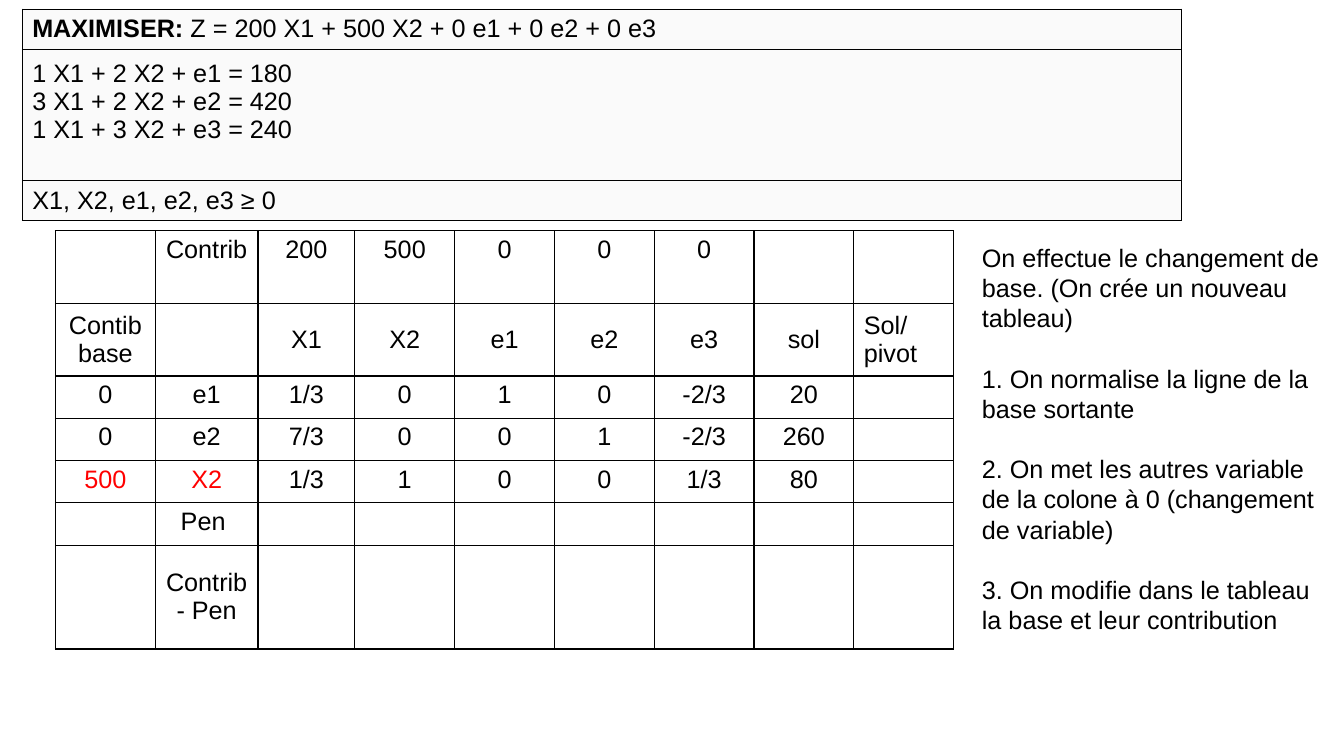
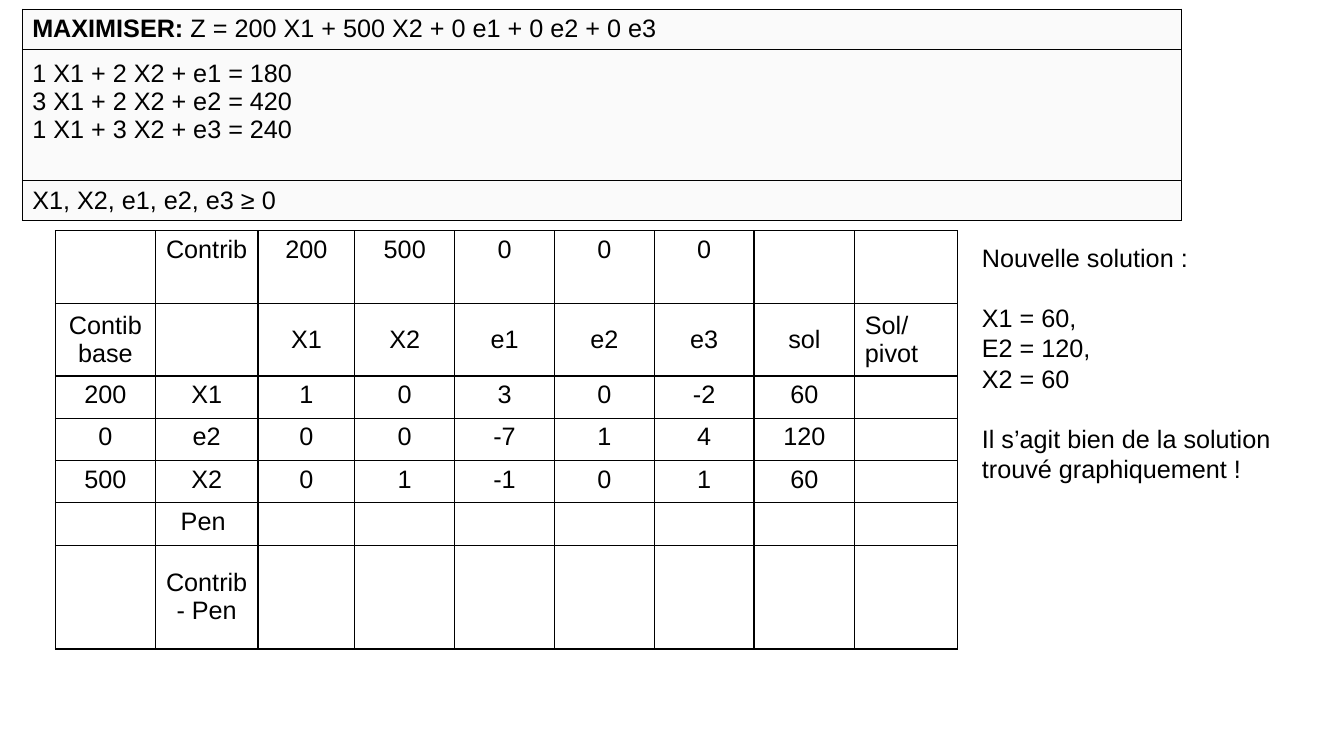
from dataclasses import dataclass
from typing import Optional

from lxml.etree import SubElement
from pptx import Presentation
from pptx.dml.color import RGBColor as RGB
from pptx.enum.text import MSO_ANCHOR as ANCHOR, PP_ALIGN as ALIGN
from pptx.oxml.ns import qn
from pptx.util import Inches, Pt


@dataclass(frozen=True)
class Theme:
    font: str = "Arial"
    size: float = 18
    table_leading: float = 20
    note_leading: float = 21.6
    text: str = "000000"
    accent: str = "FF0000"
    panel: str = "FAFAFA"
    panel_line: float = 0.75
    grid_line: float = 0.96


@dataclass(frozen=True)
class Step:
    """One simplex iteration: basis rows, commentary and layout details."""
    rows: tuple[str, ...]
    notes: tuple[tuple[str, ...], ...]
    note_height: float
    last_widths: tuple[float, float]
    entering: Optional[int] = None  # index of the basis row in the accent colour


THEME = Theme()

# Content shared by both slides
OBJECTIVE = (("MAXIMISER: ", True), ("Z = 200 X1 + 500 X2 + 0 e1 + 0 e2 + 0 e3", False))
CONSTRAINTS = ("1 X1 + 2 X2 + e1 = 180", "3 X1 + 2 X2 + e2 = 420", "1 X1 + 3 X2 + e3 = 240")
SIGNS = "X1, X2, e1, e2, e3 ≥ 0"
HEAD_ROWS = ("|Contrib|200|500|0|0|0||", "Contib base||X1|X2|e1|e2|e3|sol|Sol/pivot")
FOOT_ROWS = ("|Pen |||||||", "|Contrib - Pen|||||||")
ROW_HEIGHTS = (0.72, 0.72, 0.42, 0.42, 0.42, 0.42, 1.03)
FIRST_WIDTHS = (0.99, 1.02, 0.96, 0.99, 0.99, 0.99, 0.99)
MIDDLE_ROWS = (1, 6)

STEPS = (
    Step(
        rows=("0|e1|1/3|0|1|0|-2/3|20|", "0|e2|7/3|0|0|1|-2/3|260|", "500|X2|1/3|1|0|0|1/3|80|"),
        notes=(
            ("On effectue le changement de base. (On crée un nouveau tableau)",),
            ("1. On normalise la ligne de la base sortante",),
            ("2. On met les autres variable de la colone à 0 (changement de variable)",),
            ("3. On modifie dans le tableau la base et leur contribution",),
        ),
        note_height=4.02, last_widths=(0.99, 0.99), entering=2,
    ),
    Step(
        rows=("200|X1|1|0|3|0|-2|60|", "0|e2|0|0|-7|1|4|120|", "500|X2|0|1|-1|0|1|60|"),
        notes=(
            ("Nouvelle solution :",),
            ("X1 = 60,", "E2 = 120,", "X2 = 60"),
            ("Il s’agit bien de la solution trouvé graphiquement !",),
        ),
        note_height=3.65, last_widths=(1.0, 1.02),
    ),
)


# Text and cell helpers
def add_run(p, text: str, bold: bool = False, color: str = THEME.text) -> None:
    r = p.add_run()
    r.text = text
    formats = {"name": THEME.font, "size": Pt(THEME.size), "bold": bold}
    for name, value in formats.items():
        setattr(r.font, name, value)
    r.font.color.rgb = RGB.from_string(color)


def next_paragraph(tf, first: bool, leading: float):
    p = tf.paragraphs[0] if first else tf.add_paragraph()
    p.line_spacing = Pt(leading)
    return p


def set_borders(cell, width: float) -> None:
    """Add the four border lines; they must come before the cell fill."""
    tc_pr = cell._tc.get_or_add_tcPr()
    for side in ("lnL", "lnR", "lnT", "lnB"):
        ln = SubElement(tc_pr, qn(f"a:{side}"), w=str(Pt(width)))
        fill = SubElement(ln, qn("a:solidFill"))
        SubElement(fill, qn("a:srgbClr"), val=THEME.text)


def add_grid(s, left: float, top: float, widths: tuple[float, ...],
             heights: tuple[float, ...], line: float, fill: Optional[str] = None):
    table = s.shapes.add_table(len(heights), len(widths), Inches(left), Inches(top),
                               Inches(sum(widths)), Inches(sum(heights))).table
    table.first_row = table.horz_banding = False
    for column, width in zip(table.columns, widths):
        column.width = Inches(width)
    for row, height in zip(table.rows, heights):
        row.height = Inches(height)
    for cell in table.iter_cells():
        set_borders(cell, line)
        if fill:
            cell.fill.solid()
            cell.fill.fore_color.rgb = RGB.from_string(fill)
        else:
            cell.fill.background()
    return table


# Slide parts
def add_problem(s) -> None:
    table = add_grid(s, 0.22, 0.09, (11.5,), (0.4, 1.3, 0.4), THEME.panel_line, THEME.panel)
    contents = ((OBJECTIVE,), tuple(((line, False),) for line in CONSTRAINTS), (((SIGNS, False),),))
    for i, lines in enumerate(contents):
        cell = table.cell(i, 0)
        cell.vertical_anchor = ANCHOR.MIDDLE
        for j, runs in enumerate(lines):
            p = next_paragraph(cell.text_frame, j == 0, THEME.table_leading)
            for text, bold in runs:
                add_run(p, text, bold)
    constraints = table.cell(1, 0)
    constraints.vertical_anchor = ANCHOR.TOP
    constraints.margin_top = Inches(0.1)


def add_tableau(s, step: Step) -> None:
    table = add_grid(s, 0.55, 2.29, FIRST_WIDTHS + step.last_widths, ROW_HEIGHTS, THEME.grid_line)
    entering_row = None if step.entering is None else len(HEAD_ROWS) + step.entering
    for i, row in enumerate(HEAD_ROWS + step.rows + FOOT_ROWS):
        for j, text in enumerate(row.split("|")):
            if not text:
                continue
            cell = table.cell(i, j)
            cell.vertical_anchor = ANCHOR.MIDDLE if i in MIDDLE_ROWS else ANCHOR.TOP
            p = next_paragraph(cell.text_frame, True, THEME.table_leading)
            if j < len(table.columns) - 1:
                p.alignment = ALIGN.CENTER
                cell.margin_left = cell.margin_right = Inches(0.08)
            accent = i == entering_row and j < 2
            add_run(p, text, color=THEME.accent if accent else THEME.text)


def add_notes(s, step: Step) -> None:
    tf = s.shapes.add_textbox(Inches(9.64), Inches(2.35), Inches(3.61),
                              Inches(step.note_height)).text_frame
    tf.word_wrap = True
    for i, group in enumerate(step.notes):
        for j, line in enumerate(group):
            p = next_paragraph(tf, i == j == 0, THEME.note_leading)
            if i and j == 0:
                p.space_before = Pt(THEME.note_leading)
            add_run(p, line)


def main() -> None:
    prs = Presentation()
    prs.slide_width, prs.slide_height = Inches(13.33), Inches(7.5)
    blank = prs.slide_layouts[6]
    for step in STEPS:
        s = prs.slides.add_slide(blank)
        add_problem(s)
        add_tableau(s, step)
        add_notes(s, step)
    prs.save("out.pptx")


if __name__ == "__main__":
    main()
